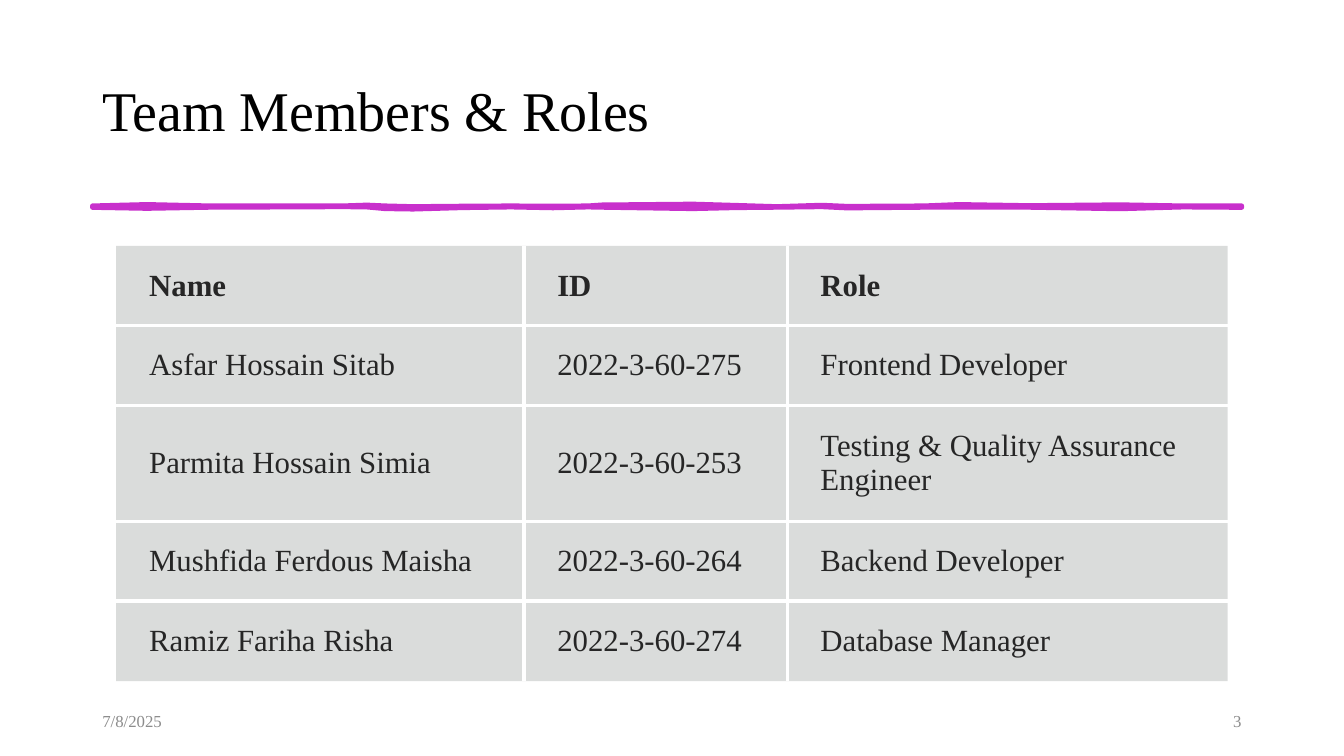
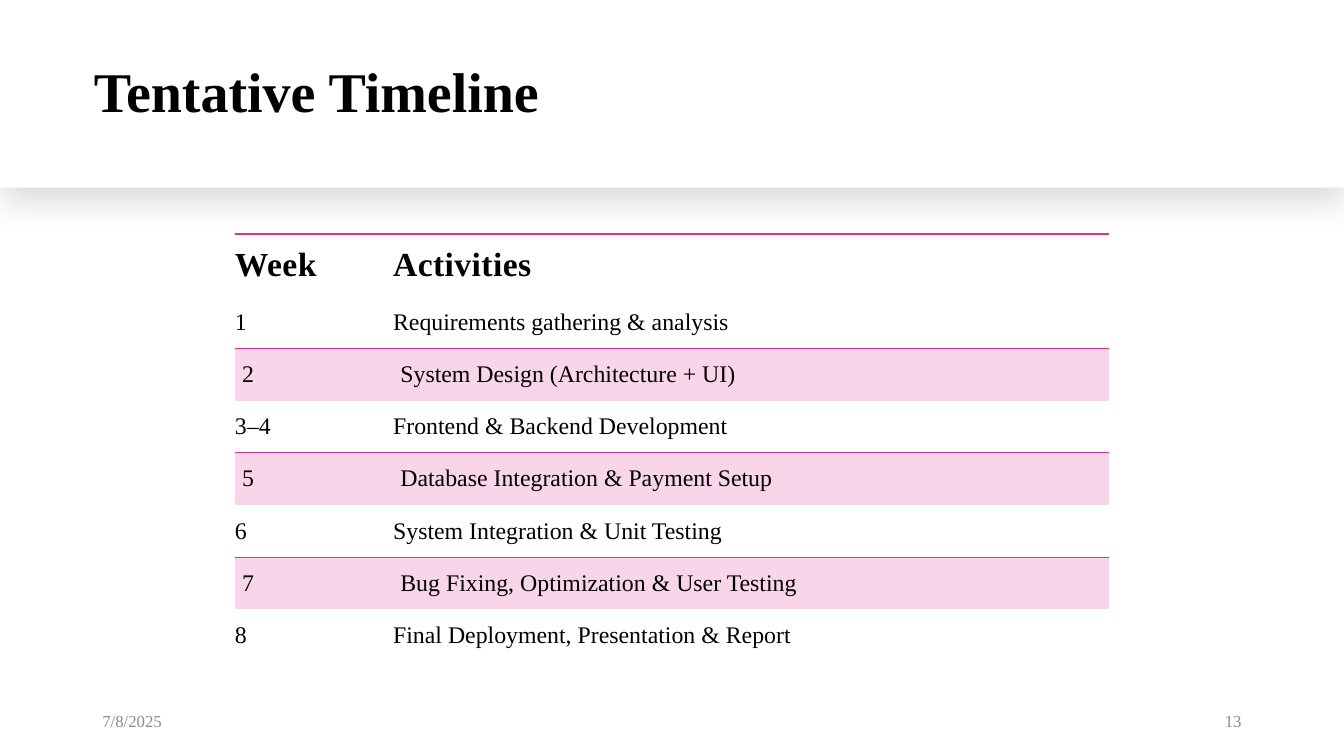
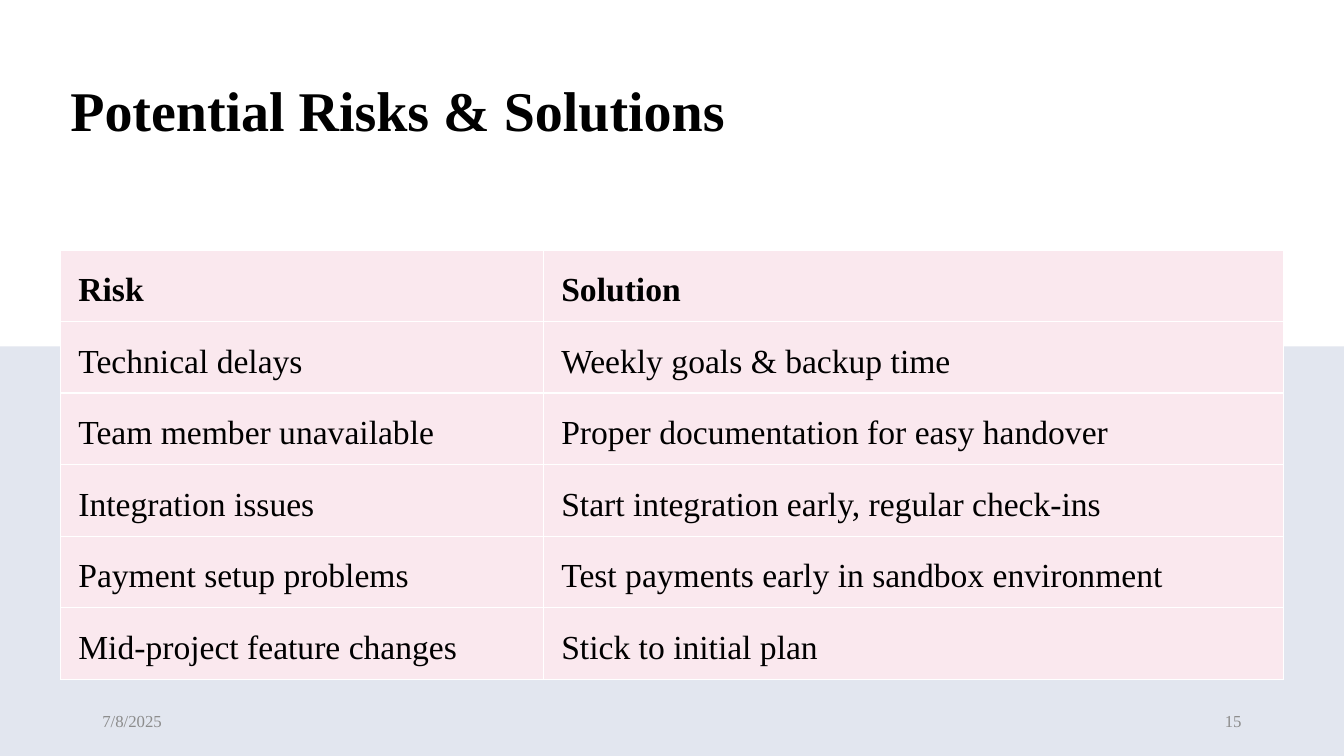
from dataclasses import dataclass

from lxml import etree
from pptx import Presentation
from pptx.dml.color import RGBColor
from pptx.enum import shapes, text
from pptx.oxml import ns
from pptx.util import Pt

BLACK = RGBColor(0x00, 0x00, 0x00)
WHITE = RGBColor(0xFF, 0xFF, 0xFF)
CHARCOAL = RGBColor(0x26, 0x26, 0x26)
FOOTER_GREY = RGBColor(0x8C, 0x8C, 0x8C)
CELL_GREY = RGBColor(0x87, 0x8E, 0x8B)
PURPLE = RGBColor(0xC8, 0x30, 0xCC)
PINK = RGBColor(0xE3, 0x2D, 0x91)
PALE_PINK = RGBColor(0xF9, 0xD5, 0xE9)
ROSE = RGBColor(0xFA, 0xE8, 0xEE)
PALE_GREY = RGBColor(0xF2, 0xF2, 0xF2)
BLUE = RGBColor(0x1A, 0x4C, 0xC8)

FONT = "Times New Roman"
WIDTH, HEIGHT = 960, 540
DATE = "7/8/2025"

# x, top and bottom of the brush stroke, from left to right
BRUSH = [
    (66, 147, 148.3), (105, 146, 149), (150, 147, 148.2), (205, 147, 148),
    (245, 147, 147.8), (262, 146.4, 148), (275, 147, 149.2),
    (295, 147.5, 149.5), (330, 147.2, 148.5), (365, 147, 148),
    (395, 147.2, 148.6), (420, 147, 148), (430, 146.3, 148.2),
    (495, 145.7, 149.2), (525, 146.6, 148.5), (555, 147.5, 148.2),
    (587, 146.5, 147.8), (605, 147.3, 148.7), (660, 147, 148.2),
    (685, 146, 148.2), (735, 146.8, 148.2), (800, 146.2, 149.3),
    (845, 147, 148), (887, 147, 148.3),
]


@dataclass
class CellLook:
    """Style of one table cell; borders maps L, R, T, B to (colour, width)."""
    size: float
    insets: tuple
    borders: dict
    fill: RGBColor = None
    opacity: int = 100
    color: RGBColor = BLACK
    bold: bool = False
    spacing: float = 0


def set_opacity(properties, percent):
    """Make the solid fill directly under the properties see-through."""
    color = properties.find(ns.qn("a:solidFill"))[0]
    etree.SubElement(color, ns.qn("a:alpha"), val=str(percent * 1000))


def set_borders(cell, borders):
    properties = cell._tc.get_or_add_tcPr()
    for place, side in enumerate("LRTB"):
        line = etree.Element(ns.qn(f"a:ln{side}"))
        if side in borders:
            color, width = borders[side]
            line.set("w", str(Pt(width)))
            solid = etree.SubElement(line, ns.qn("a:solidFill"))
            etree.SubElement(solid, ns.qn("a:srgbClr"), val=str(color))
        else:
            line.set("w", "0")
            etree.SubElement(line, ns.qn("a:noFill"))
        properties.insert(place, line)


class Deck:
    def __init__(self):
        self.presentation = Presentation()
        self.presentation.slide_width = Pt(WIDTH)
        self.presentation.slide_height = Pt(HEIGHT)
        self.slide = None

    def new_slide(self):
        blank = self.presentation.slide_layouts[6]
        self.slide = self.presentation.slides.add_slide(blank)

    def footer(self, number):
        self.label(DATE, 66, 500, 216, 29, 12, FOOTER_GREY)
        page = self.label(str(number), 678, 500, 216, 29, 12, FOOTER_GREY)
        page.alignment = text.PP_ALIGN.RIGHT

    def set_words(self, paragraph, words, size, color, bold=False):
        paragraph.text = words
        for run in paragraph.runs:
            run.font.name = FONT
            run.font.size = Pt(size)
            run.font.bold = bold
            run.font.color.rgb = color

    def label(self, words, x, y, w, h, size, color, bold=False):
        """Add a text box and return its paragraph."""
        box = self.slide.shapes.add_textbox(Pt(x), Pt(y), Pt(w), Pt(h))
        frame = box.text_frame
        frame.word_wrap = True
        frame.vertical_anchor = text.MSO_ANCHOR.MIDDLE
        paragraph = frame.paragraphs[0]
        self.set_words(paragraph, words, size, color, bold)
        return paragraph

    def title(self, words, x, y, w, h, bold=True):
        heading = self.label(words, x, y, w, h, 40, BLACK, bold)
        heading.line_spacing = 0.9

    def band(self, height, color, opacity=100):
        """Fill the full width of the slide from its top."""
        band = self.slide.shapes.add_shape(
            shapes.MSO_SHAPE.RECTANGLE, 0, 0, Pt(WIDTH), Pt(height))
        band.shadow.inherit = False
        band.fill.solid()
        band.fill.fore_color.rgb = color
        band.line.fill.background()
        if opacity < 100:
            set_opacity(band._element.spPr, opacity)
        return band

    def soft_shadow(self, shape):
        effects = shape._element.spPr.find(ns.qn("a:effectLst"))
        shadow = etree.SubElement(
            effects, ns.qn("a:outerShdw"), blurRad=str(Pt(24)),
            dist=str(Pt(9)), dir=str(91 * 60000), rotWithShape="0")
        color = etree.SubElement(shadow, ns.qn("a:srgbClr"), val=str(BLACK))
        etree.SubElement(color, ns.qn("a:alpha"), val="14000")

    def brush_stroke(self, profile, color):
        upper = [(Pt(x), Pt(top)) for x, top, _ in profile]
        lower = [(Pt(x), Pt(bottom)) for x, _, bottom in reversed(profile)]
        builder = self.slide.shapes.build_freeform(*upper[0])
        builder.add_line_segments(upper[1:] + lower, close=True)
        stroke = builder.convert_to_shape()
        stroke.shadow.inherit = False
        stroke.fill.solid()
        stroke.fill.fore_color.rgb = color
        stroke.line.color.rgb = color
        stroke.line.width = Pt(3.25)
        outline = stroke._element.spPr.find(ns.qn("a:ln"))
        etree.SubElement(outline, ns.qn("a:round"))

    def table(self, x, y, widths, heights, rows, look_of):
        """Draw rows of text; look_of(row, column) gives each CellLook."""
        grid = self.slide.shapes.add_table(
            len(rows), len(widths), Pt(x), Pt(y),
            Pt(sum(widths)), Pt(sum(heights))).table
        grid.first_row = grid.horz_banding = False
        for column, width in zip(grid.columns, widths):
            column.width = Pt(width)
        for r, (height, row) in enumerate(zip(heights, rows)):
            grid.rows[r].height = Pt(height)
            for c, words in enumerate(row):
                self.fill_cell(grid.cell(r, c), words, look_of(r, c))

    def fill_cell(self, cell, words, look):
        paragraph = cell.text_frame.paragraphs[0]
        self.set_words(paragraph, words, look.size, look.color, look.bold)
        if look.spacing:
            properties = paragraph.runs[0]._r.get_or_add_rPr()
            properties.set("spc", str(round(look.spacing * 100)))
        cell.vertical_anchor = text.MSO_ANCHOR.MIDDLE
        (cell.margin_left, cell.margin_top,
         cell.margin_right, cell.margin_bottom) = map(Pt, look.insets)
        if look.fill is None:
            cell.fill.background()
        else:
            cell.fill.solid()
            cell.fill.fore_color.rgb = look.fill
            if look.opacity < 100:
                set_opacity(cell._tc.tcPr, look.opacity)
        set_borders(cell, look.borders)


def team_slide(deck):
    members = [
        ("Name", "ID", "Role"),
        ("Asfar Hossain Sitab", "2022-3-60-275", "Frontend Developer"),
        ("Parmita Hossain Simia", "2022-3-60-253",
         "Testing & Quality Assurance Engineer"),
        ("Mushfida Ferdous Maisha", "2022-3-60-264", "Backend Developer"),
        ("Ramiz Fariha Risha", "2022-3-60-274", "Database Manager"),
    ]

    def look_of(row, column):
        inner = {"L": column > 0, "R": column < 2,
                 "T": row > 0, "B": row < len(members) - 1}
        borders = {side: (WHITE, 3) for side, shown in inner.items() if shown}
        return CellLook(22, (23.6, 14.4, 14.4, 14.4), borders, CELL_GREY, 30,
                        CHARCOAL, bold=row == 0)

    deck.new_slide()
    deck.title("Team Members & Roles", 66, 28.8, 828, 104.4, bold=False)
    deck.brush_stroke(BRUSH, PURPLE)
    deck.table(83, 175.6, [291.5, 188, 314.5], [57, 57, 83, 57, 57],
               members, look_of)
    deck.footer(3)


def timeline_slide(deck):
    weeks = [
        ("Week", "Activities"),
        ("1", "Requirements gathering & analysis"),
        ("2", "System Design (Architecture + UI)"),
        ("3–4", "Frontend & Backend Development"),
        ("5", "Database Integration & Payment Setup"),
        ("6", "System Integration & Unit Testing"),
        ("7", "Bug Fixing, Optimization & User Testing"),
        ("8", "Final Deployment, Presentation & Report"),
    ]

    def look_of(row, column):
        if row == 0:
            return CellLook(24, (0, 7.2, 0.7, 7.2), {"T": (PINK, 1.5)},
                            bold=True, spacing=0.3)
        if row % 2 == 0:
            return CellLook(17, (5.2, 7.2, 13.7, 7.2), {"T": (PINK, 0.75)},
                            PALE_PINK)
        last = row == len(weeks) - 1
        return CellLook(17, (0, 7.2, 13.7, 7.2),
                        {} if last else {"B": (PINK, 0.75)})

    deck.new_slide()
    deck.soft_shadow(deck.band(134, WHITE))
    deck.title("Tentative Timeline", 60, 21.6, 825, 91.4)
    deck.table(167.8, 167, [113, 511.5], [44.6] + [37.3] * 7, weeks, look_of)
    deck.footer(13)


def risks_slide(deck):
    risks = [
        ("Risk", "Solution"),
        ("Technical delays", "Weekly goals & backup time"),
        ("Team member unavailable", "Proper documentation for easy handover"),
        ("Integration issues", "Start integration early, regular check-ins"),
        ("Payment setup problems",
         "Test payments early in sandbox environment"),
        ("Mid-project feature changes", "Stick to initial plan"),
    ]

    def look_of(row, column):
        return CellLook(24, (12.8, 12.8, 12.8, 6.4),
                        dict.fromkeys("LRTB", (WHITE, 1)), ROSE,
                        bold=row == 0)

    deck.new_slide()
    deck.band(HEIGHT, PALE_GREY)
    deck.band(HEIGHT, BLUE, 7)
    deck.band(247.5, WHITE)
    deck.title("Potential Risks & Solutions", 43.2, 28.8, 873.4, 104.4)
    deck.table(43.2, 178.6, [345, 528.4], [51.1] * 6, risks, look_of)
    deck.footer(15)


def main():
    deck = Deck()
    team_slide(deck)
    timeline_slide(deck)
    risks_slide(deck)
    deck.presentation.save("out.pptx")


if __name__ == "__main__":
    main()
